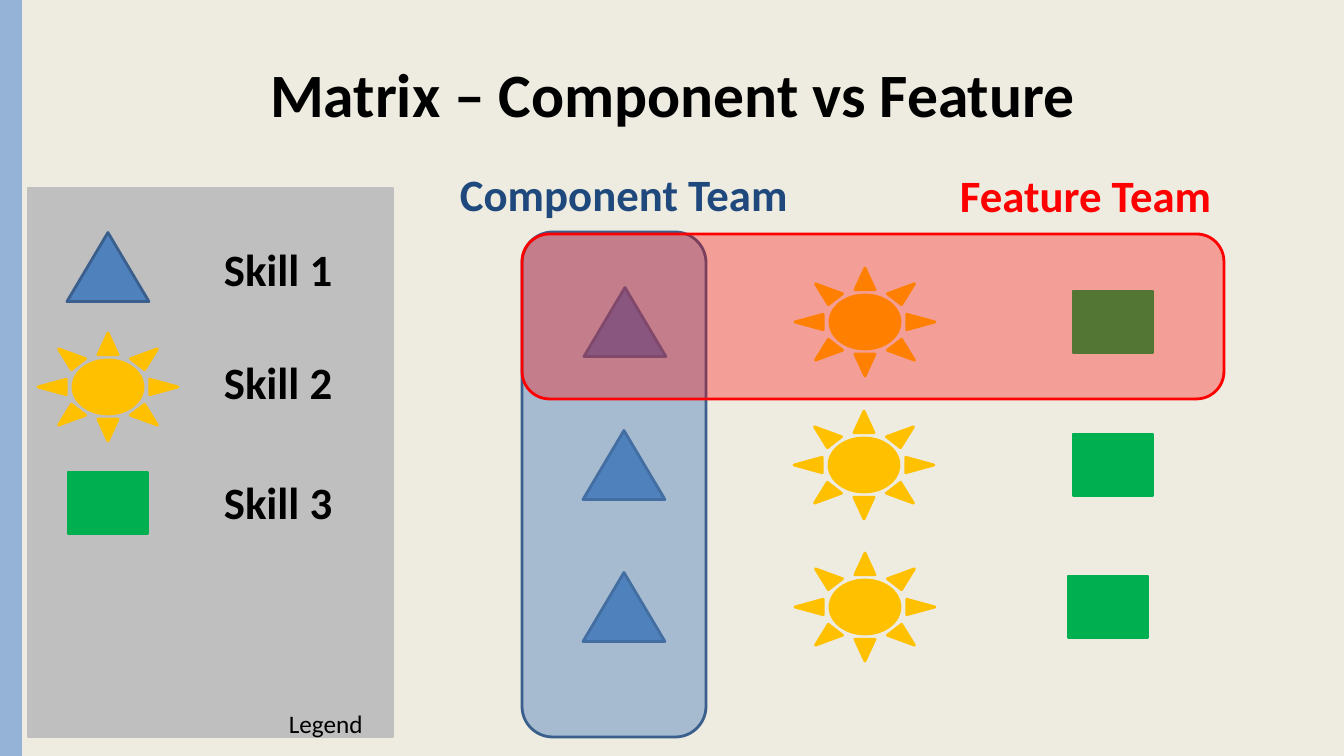
import pptx
import pptx.util
import pptx.dml.color
import pptx.enum.shapes
import pptx.enum.text
import pptx.oxml
import pptx.oxml.ns

PX = 914400 / 100.8
SHAPE = pptx.enum.shapes.MSO_SHAPE
TEXT = pptx.enum.text

deck = pptx.Presentation()
deck.slide_width, deck.slide_height = round(1344 * PX), round(756 * PX)
slide = deck.slides.add_slide(deck.slide_layouts[6])


def paint(target, color, alpha=None):
    """Fill target with a solid colour; alpha is its opacity in percent."""
    target.solid()
    target.fore_color.rgb = pptx.dml.color.RGBColor.from_string(color)
    if alpha is not None:
        srgb = target._xPr.find(".//" + pptx.oxml.ns.qn("a:srgbClr"))
        opacity = srgb.makeelement(pptx.oxml.ns.qn("a:alpha"), {"val": str(alpha * 1000)})
        srgb.append(opacity)


def add(kind, left, top, width, height, fill=None, line=None, alpha=None, text=None,
        size=32, color="000000", bold=True, centered=False):
    """Add a preset shape, or a text box when kind is None."""
    box = [round(length * PX) for length in (left, top, width, height)]
    if kind is not None:
        shape = slide.shapes.add_shape(kind, *box)
        shape.shadow.inherit = False
        paint(shape.fill, fill, alpha)
        if line:
            paint(shape.line.fill, line)
            shape.line.width = pptx.util.Pt(2)
        else:
            shape.line.fill.background()
        return
    frame = slide.shapes.add_textbox(*box).text_frame
    frame.word_wrap = centered
    if centered:
        frame.vertical_anchor = TEXT.MSO_ANCHOR.MIDDLE
        frame.paragraphs[0].alignment = TEXT.PP_ALIGN.CENTER
    else:
        frame.auto_size = TEXT.MSO_AUTO_SIZE.SHAPE_TO_FIT_TEXT
    run = frame.paragraphs[0].add_run()
    run.text = text
    run.font.name = "Calibri"
    run.font.size = pptx.util.Pt(size)
    run.font.bold = bold
    paint(run.font.fill, color)


paint(slide.background.fill, "EEECE1")
add(SHAPE.RECTANGLE, 0, 0, 22, 756, fill="95B3D7")
add(None, 68, 30, 1210, 126, text="Matrix – Component vs Feature", size=44, centered=True)

# Each skill: preset, width, height, fill, line
skills = [
    (SHAPE.ISOSCELES_TRIANGLE, 82, 69, "4F81BD", "3A5F8C"),
    (SHAPE.SUN, 140, 108, "FFC000", "FFC000"),
    (SHAPE.RECTANGLE, 80, 62, "00B050", "00B050"),
]

# Legend
add(SHAPE.RECTANGLE, 28, 188, 365, 549, fill="BFBFBF", line="BFBFBF")
legend_rows = zip(skills, (267, 387, 503), (237, 350, 470))
for number, (skill, middle, label_top) in enumerate(legend_rows, 1):
    preset, width, height, fill, line = skill
    add(preset, 108 - width / 2, middle - height / 2, width, height, fill=fill, line=line)
    add(None, 214, label_top, 130, 65, text=f"Skill {number}")
add(None, 279, 703, 95, 40, text="Legend", size=18, bold=False)

# Matrix: middle of each row and the centres of its three symbols
matrix_rows = [
    (322, (625, 865, 1113)),
    (465, (624, 864, 1113)),
    (607, (624, 865, 1108)),
]
for middle, centers in matrix_rows:
    for center, (preset, width, height, fill, line) in zip(centers, skills):
        add(preset, center - width / 2, middle - height / 2, width, height, fill=fill, line=line)

# Teams
add(SHAPE.ROUNDED_RECTANGLE, 522, 232, 184, 505, fill="4F81BD", line="3A5F8C", alpha=45)
add(None, 450, 162, 351, 65, text="Component Team", color="1F497D")
add(SHAPE.ROUNDED_RECTANGLE, 522, 234, 702, 165, fill="FF0000", line="FF0000", alpha=33)
add(None, 950, 163, 274, 65, text="Feature Team", color="FF0000")

deck.save("out.pptx")
